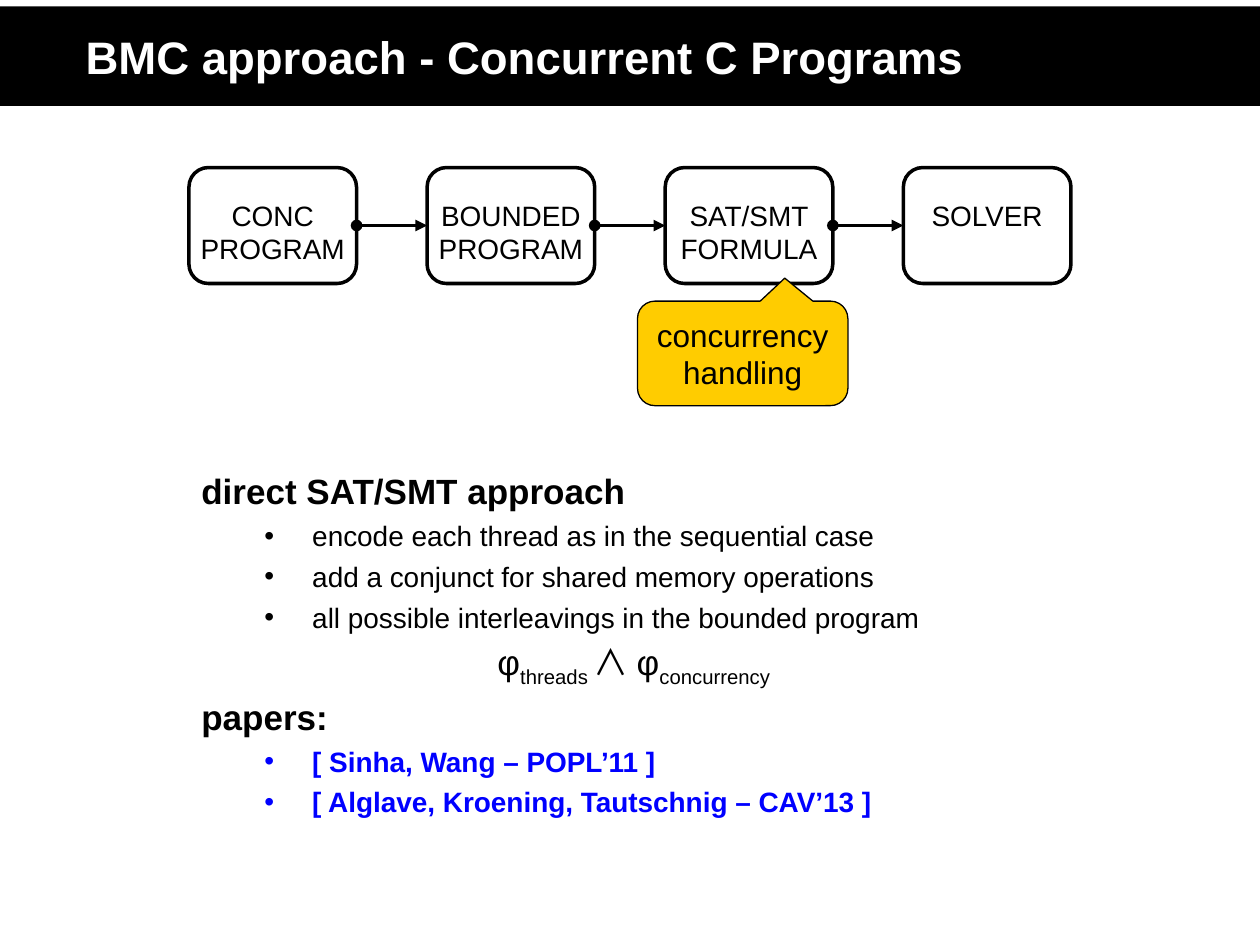
from lxml import etree
from pptx import Presentation
from pptx.dml.color import RGBColor
from pptx.enum.shapes import MSO_CONNECTOR, MSO_SHAPE
from pptx.enum.text import MSO_ANCHOR, PP_ALIGN
from pptx.oxml.ns import qn
from pptx.util import Inches, Pt

BLACK = RGBColor(0, 0, 0)
WHITE = RGBColor(255, 255, 255)
YELLOW = RGBColor(255, 204, 0)
BLUE = RGBColor(0, 0, 255)
CENTER, LEFT = PP_ALIGN.CENTER, PP_ALIGN.LEFT
TOP, MIDDLE = MSO_ANCHOR.TOP, MSO_ANCHOR.MIDDLE
FONT, SYMBOL_FONT = "Arial", "Noto Sans CJK JP"

TITLE = "BMC approach - Concurrent C Programs"
STAGES = [["CONC", "PROGRAM"], ["BOUNDED", "PROGRAM"],
          ["SAT/SMT", "FORMULA"], ["SOLVER"]]
NOTE = ["concurrency", "handling"]
# (text, font, baseline in thousandths of a percent)
FORMULA = [("φ", FONT, 0), ("threads ", FONT, -25000), ("∧ ", SYMBOL_FONT, 0),
           ("φ", FONT, 0), ("concurrency", FONT, -25000)]
SECTIONS = [
    {"heading": "direct SAT/SMT approach", "color": BLACK, "bold": False,
     "items": ["encode each thread as in the sequential case",
               "add a conjunct for shared memory operations",
               "all possible interleavings in the bounded program"],
     "formula": FORMULA},
    {"heading": "papers:", "color": BLUE, "bold": True,
     "items": ["[ Sinha, Wang – POPL’11 ]",
               "[ Alglave, Kroening, Tautschnig – CAV’13 ]"],
     "formula": []},
]

STAGE_LEFT, STAGE_TOP, STAGE_W, STAGE_H, PITCH = 1.5, 1.33, 1.33, 0.92, 1.89


def add_run(p, text, size, color=BLACK, bold=False, font=FONT):
    r = p.add_run()
    r.text = text
    r.font.name, r.font.size = font, Pt(size)
    r.font.bold, r.font.color.rgb = bold, color
    return r


def add_box(slide, kind, at, fill, line_width, lines, size, color=BLACK,
            bold=False, align=CENTER, anchor=MIDDLE, inset=(0, 0)):
    """Add a filled shape with its text; inset is the left and top margin."""
    sp = slide.shapes.add_shape(kind, *map(Inches, at))
    sp.shadow.inherit = False
    sp.fill.solid()
    sp.fill.fore_color.rgb = fill
    if line_width:
        sp.line.color.rgb = BLACK
        sp.line.width = Pt(line_width)
    else:
        sp.line.fill.background()
    tf = sp.text_frame
    tf.word_wrap = True
    tf.vertical_anchor = anchor
    tf.margin_left, tf.margin_top = map(Inches, inset)
    tf.margin_right = tf.margin_bottom = 0
    for i, text in enumerate(lines):
        p = tf.add_paragraph() if i else tf.paragraphs[0]
        p.alignment = align
        add_run(p, text, size, color, bold)
    return sp


def add_arrow(slide, start, end):
    c = slide.shapes.add_connector(MSO_CONNECTOR.STRAIGHT, 0, 0, 0, 0)
    c.begin_connect(start, 3)
    c.end_connect(end, 1)
    c.line.color.rgb = BLACK
    c.line.width = Pt(2.25)
    ln = c.line._get_or_add_ln()
    etree.SubElement(ln, qn("a:headEnd"), type="oval")
    etree.SubElement(ln, qn("a:tailEnd"), type="triangle")
    etree.SubElement(c._element.spPr, qn("a:effectLst"))


def add_line(tf, left=0, hang=0, bullet=False):
    """Add a paragraph to the body, reusing the empty first one."""
    first = not tf.paragraphs[0].runs
    p = tf.paragraphs[0] if first else tf.add_paragraph()
    pPr = p._p.get_or_add_pPr()
    pPr.set("marL", str(Inches(left)))
    pPr.set("indent", str(-Inches(hang)))
    if bullet:
        etree.SubElement(pPr, qn("a:buFont"), typeface=FONT)
        etree.SubElement(pPr, qn("a:buChar"), char="•")
    if not first:
        p.space_before = Pt(4)
    return p


prs = Presentation()
prs.slide_width, prs.slide_height = Inches(10), Inches(7.5)
slide = prs.slides.add_slide(prs.slide_layouts[6])

add_box(slide, MSO_SHAPE.RECTANGLE, (0, 0.05, 10, 0.79), BLACK, 0, [TITLE], 26,
        WHITE, True, LEFT, inset=(0.68, 0))

stages = [add_box(slide, MSO_SHAPE.ROUNDED_RECTANGLE,
                  (STAGE_LEFT + i * PITCH, STAGE_TOP, STAGE_W, STAGE_H),
                  WHITE, 2, lines, 16, anchor=TOP, inset=(0, 0.2))
          for i, lines in enumerate(STAGES)]
for start, end in zip(stages, stages[1:]):
    add_arrow(slide, start, end)

callout = add_box(slide, MSO_SHAPE.ROUNDED_RECTANGULAR_CALLOUT,
                  (5.06, 2.39, 1.67, 0.83), YELLOW, 0.75, NOTE, 18)
callout.adjustments[0], callout.adjustments[1] = 0.2, -0.72

body = slide.shapes.add_textbox(*map(Inches, (1.5, 3.68, 8.33, 3.65)))
tf = body.text_frame
tf.word_wrap = True
for section in SECTIONS:
    add_run(add_line(tf), section["heading"], 20, bold=True)
    for item in section["items"]:
        p = add_line(tf, 0.88, 0.38, bullet=True)
        add_run(p, item, 16, section["color"], section["bold"])
    if section["formula"]:
        p = add_line(tf, 2.35)
        for text, font, baseline in section["formula"]:
            r = add_run(p, text, 20, font=font)
            if font == SYMBOL_FONT:
                etree.SubElement(r.font._element, qn("a:ea"), typeface=font)
            if baseline:
                r.font._element.set("baseline", str(baseline))

prs.save("out.pptx")
